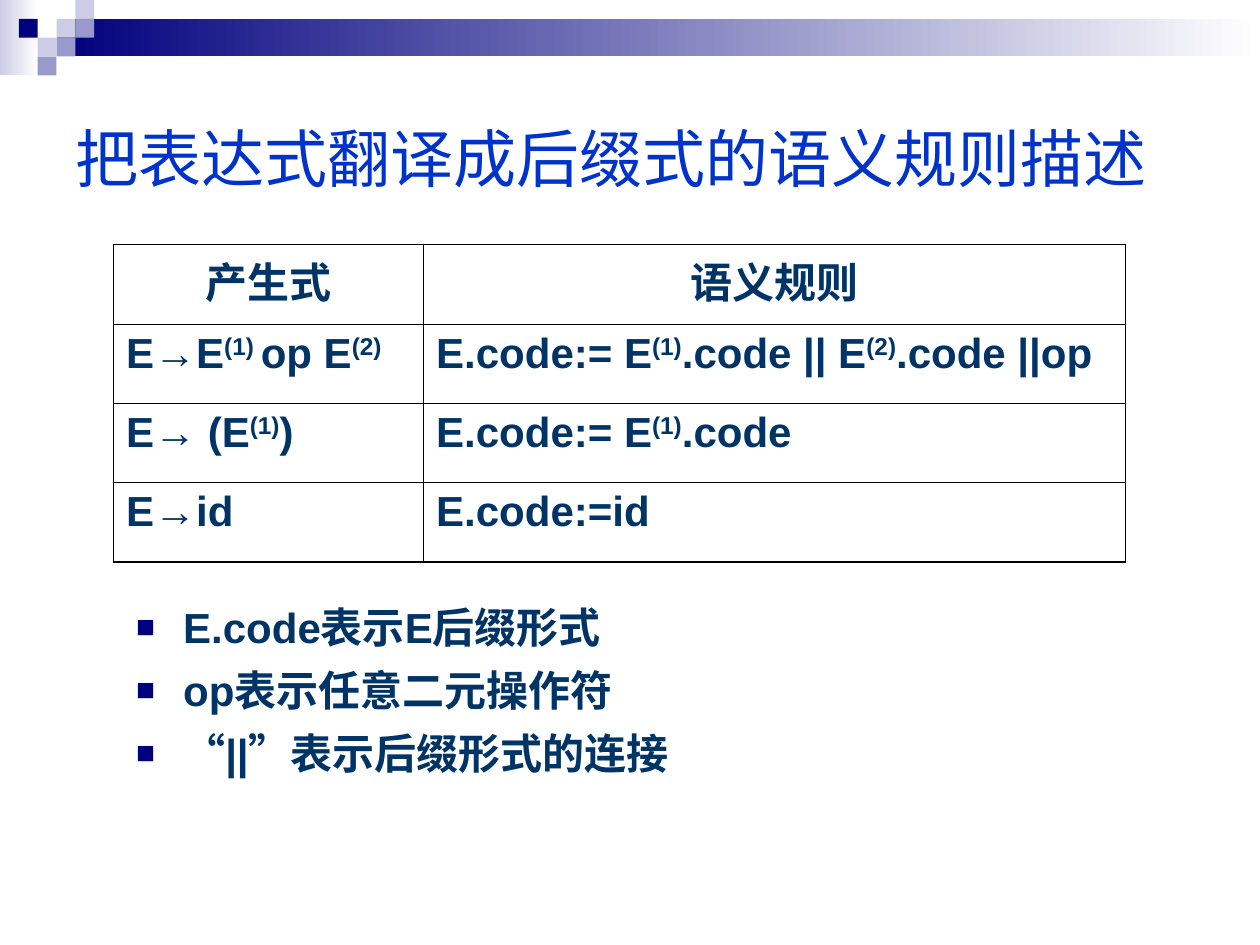
import dataclasses

import lxml.etree
import pptx
import pptx.dml.color
import pptx.enum.shapes
import pptx.enum.text
import pptx.oxml.ns
import pptx.util

Cm = pptx.util.Cm
Pt = pptx.util.Pt
qn = pptx.oxml.ns.qn
ANCHOR = pptx.enum.text.MSO_ANCHOR
ALIGN = pptx.enum.text.PP_ALIGN


@dataclasses.dataclass(frozen=True)
class Theme:
    font: str = "Arial"
    quote: str = "Noto Sans CJK SC"
    title: str = "0033CC"
    text: str = "003366"
    navy: str = "00007D"
    mid: str = "9999CC"
    pale: str = "CCCCE6"
    white: str = "FFFFFF"
    line: str = "000000"
    head: int = 36
    body: int = 24
    thick: float = 1.08
    thin: float = 0.45


THEME = Theme()

# Text between carets is superscript.
ROWS = [
    ("产生式", "语义规则"),
    ("E→E^(1) ^op E^(2)", "E.code:= E^(1)^.code || E^(2)^.code ||op"),
    ("E→ (E^(1)^)", "E.code:= E^(1)^.code"),
    ("E→id", "E.code:=id"),
]
NOTES = [
    ["E.code表示E后缀形式"],
    ["op表示任意二元操作符"],
    ["“", "||", "”", "表示后缀形式的连接"],
]


def rgb(code):
    return pptx.dml.color.RGBColor.from_string(code)


def node(parent, tag, **attrs):
    return lxml.etree.SubElement(parent, qn(tag), attrs)


def place(shape, box):
    shape.left, shape.top, shape.width, shape.height = map(Cm, box)


def add_run(para, text, size, color, bold=False, face=THEME.font):
    run = para.add_run()
    run.text = text
    font = run.font
    font.size, font.bold, font.name = Pt(size), bold, face
    font.color.rgb = rgb(color)
    node(font._element, "a:ea", typeface=face)
    return run


def add_rect(slide, box, *colors):
    """One colour gives a solid fill, two give a gradient."""
    kind = pptx.enum.shapes.MSO_SHAPE.RECTANGLE
    rect = slide.shapes.add_shape(kind, *map(Cm, box))
    rect.shadow.inherit = False
    rect.line.fill.background()
    if len(colors) == 1:
        rect.fill.solid()
        rect.fill.fore_color.rgb = rgb(colors[0])
        return
    rect.fill.gradient()
    rect.fill.gradient_angle = 0
    for stop, color, pos in zip(rect.fill.gradient_stops, colors, (0, 1)):
        stop.color.rgb = rgb(color)
        stop.position = pos


def add_band(slide, box):
    left, top, width, height = box
    unit = height / 4
    # Gradient strips
    add_rect(slide, (left, top, 2 * unit, height), THEME.pale, THEME.white)
    add_rect(slide, (left + 3 * unit, top + unit, width - 3 * unit, 2 * unit),
             THEME.navy, THEME.white)
    # Mosaic squares by column and row
    tiles = {
        THEME.pale: [(3, 1), (4, 0), (2, 2)],
        THEME.mid: [(4, 1), (3, 2), (2, 3)],
        THEME.navy: [(1, 1)],
    }
    for color, cells in tiles.items():
        for col, row in cells:
            add_rect(slide, (left + col * unit, top + row * unit, unit, unit),
                     color)


def add_title(slide, box, text):
    title = slide.shapes.title
    place(title, box)
    frame = title.text_frame
    frame.auto_size = pptx.enum.text.MSO_AUTO_SIZE.NONE
    frame.vertical_anchor = ANCHOR.MIDDLE
    para = frame.paragraphs[0]
    para.alignment = ALIGN.LEFT
    add_run(para, text, THEME.head, THEME.title)


def set_edges(cell, row, col, rows, cols):
    outer = {"L": col == 0, "R": col == cols - 1,
             "T": row == 0, "B": row == rows - 1}
    props = cell._tc.get_or_add_tcPr()
    for side, edge in outer.items():
        width = Pt(THEME.thick if edge else THEME.thin)
        line = node(props, "a:ln" + side, w=str(int(width)))
        node(node(line, "a:solidFill"), "a:srgbClr", val=THEME.line)


def add_rules(slide, box, rows, split):
    width = box[2]
    count = len(rows[0])
    table = slide.shapes.add_table(len(rows), count, *map(Cm, box)).table
    table.first_row = table.horz_banding = False
    for col, size in zip(table.columns, (split, width - split)):
        col.width = Cm(size)
    for r, texts in enumerate(rows):
        for c, text in enumerate(texts):
            cell = table.cell(r, c)
            set_edges(cell, r, c, len(rows), count)
            cell.fill.background()
            para = cell.text_frame.paragraphs[0]
            if r == 0:
                cell.vertical_anchor = ANCHOR.MIDDLE
                para.alignment = ALIGN.CENTER
            for i, part in enumerate(text.split("^")):
                if not part:
                    continue
                run = add_run(para, part, THEME.body, THEME.text, True)
                if i % 2:
                    run.font._element.set("baseline", "30000")


def add_bullet(para):
    props = para._p.get_or_add_pPr()
    props.set("marL", str(Cm(0.95)))
    props.set("indent", str(-Cm(0.95)))
    node(node(props, "a:buClr"), "a:srgbClr", val=THEME.navy)
    node(props, "a:buSzPct", val="75000")
    node(props, "a:buFont", typeface=THEME.font)
    node(props, "a:buChar", char="■")


def add_notes(slide, box, notes):
    body = slide.placeholders[1]
    place(body, box)
    frame = body.text_frame
    frame.auto_size = pptx.enum.text.MSO_AUTO_SIZE.NONE
    for i, parts in enumerate(notes):
        para = frame.add_paragraph() if i else frame.paragraphs[0]
        add_bullet(para)
        para.line_spacing = 1.05
        para.space_before = Pt(6 if i else 0)
        for part in parts:
            face = THEME.quote if part in "“”" else THEME.font
            add_run(para, part, THEME.body, THEME.text, True, face)


def main():
    deck = pptx.Presentation()
    deck.slide_width, deck.slide_height = Cm(25.4), Cm(19.05)
    slide = deck.slides.add_slide(deck.slide_layouts[1])
    add_band(slide, (0, 0, 25.4, 1.52))
    add_title(slide, (1.27, 1.27, 22.86, 3.81),
              "把表达式翻译成后缀式的语义规则描述")
    add_rules(slide, (2.29, 4.93, 20.4, 6.4), ROWS, 6.25)
    add_notes(slide, (2.49, 11.94, 14.4, 5), NOTES)
    deck.save("out.pptx")


if __name__ == "__main__":
    main()
